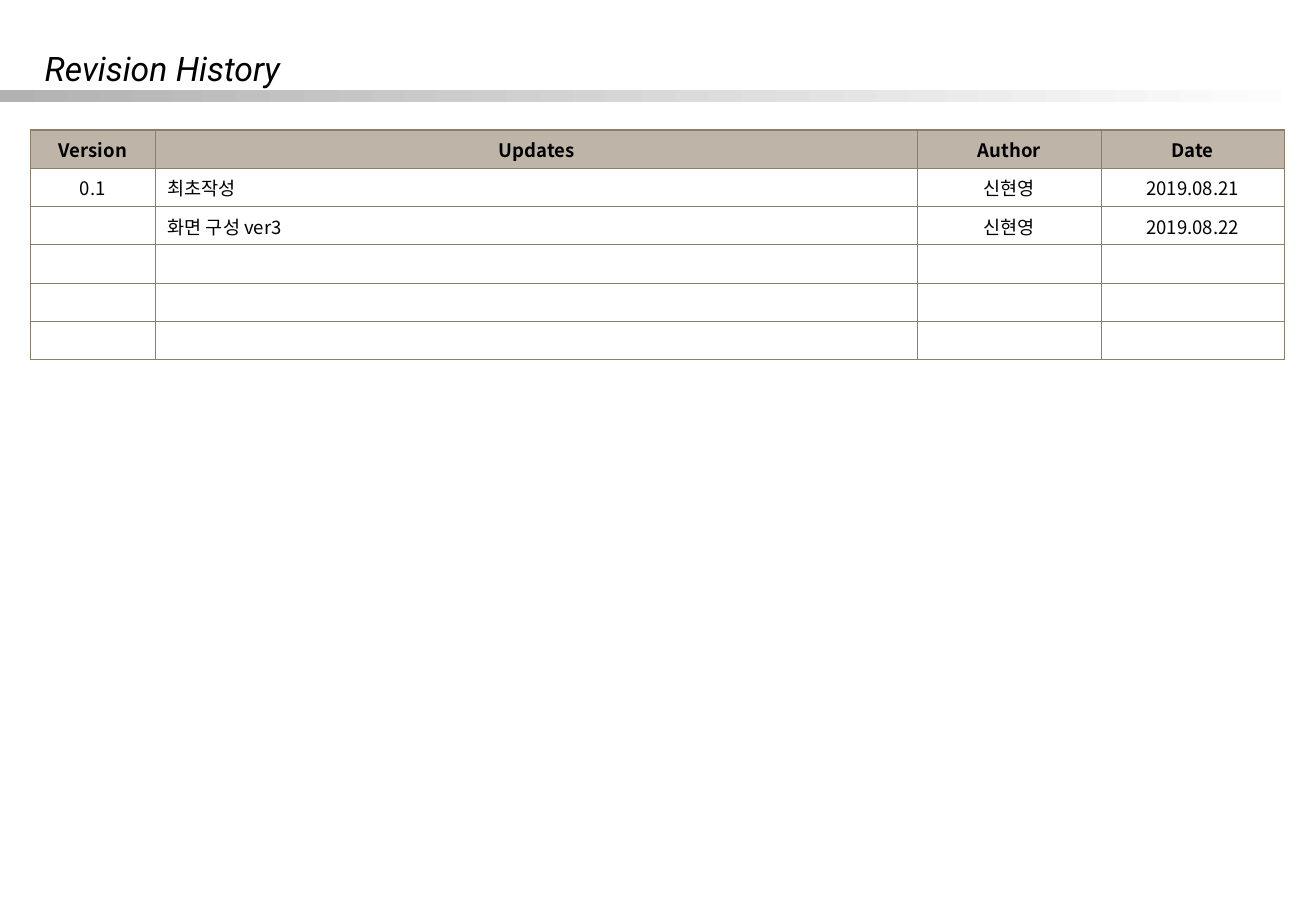
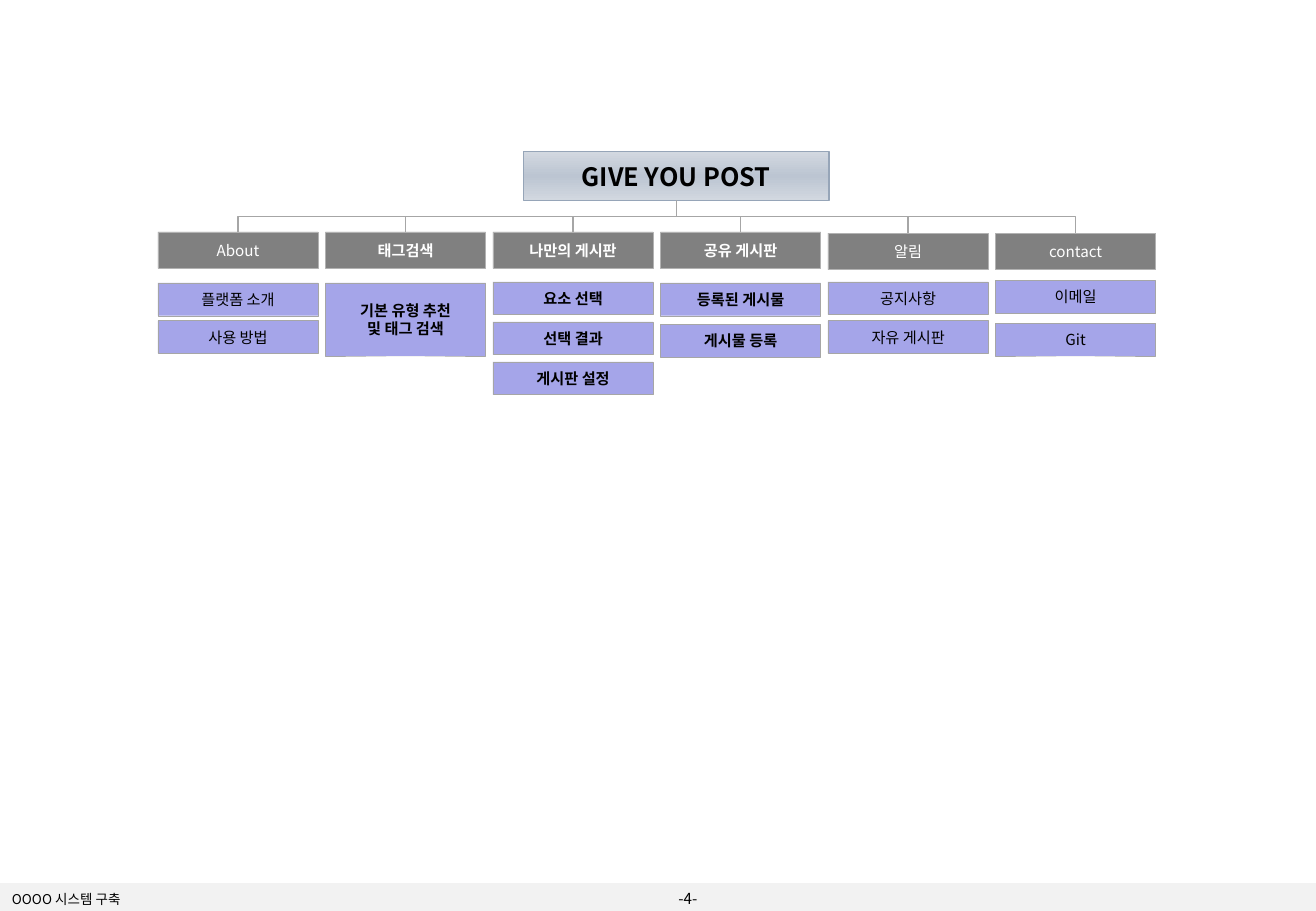
import pptx
import pptx.dml.color
import pptx.enum.shapes
import pptx.enum.text
import pptx.oxml.ns
import pptx.util
from lxml import etree

Inches = pptx.util.Inches
ALIGN = pptx.enum.text.PP_ALIGN
MIDDLE = pptx.enum.text.MSO_ANCHOR.MIDDLE
qn = pptx.oxml.ns.qn


def colour(hex_code):
    return pptx.dml.color.RGBColor.from_string(hex_code)


def add_colour(parent, hex_code):
    """Put a solid colour fill into a drawing element."""
    solid = etree.SubElement(parent, qn("a:solidFill"))
    etree.SubElement(solid, qn("a:srgbClr"), val=hex_code)


class Slides:
    BODY_FONT = "Noto Sans CJK KR"
    TITLE_FONT = "Roboto"
    BLACK, WHITE = "000000", "FFFFFF"
    BAND, FOOTER = "B2B2B2", "F2F2F2"
    TABLE_HEAD, TABLE_LINE = "BEB5A8", "8B7E6A"
    HEAD, HEAD_LINE = "808080", "B2B2B2"
    ITEM, ITEM_LINE = "A5A5E9", "A6A6A6"
    ROOT, ROOT_MIDDLE, ROOT_LINE = "D2D8E0", "BCC5D2", "96A5B8"
    WIDTH, HEIGHT = 10.84, 7.5

    def __init__(self):
        self.deck = pptx.Presentation()
        self.deck.slide_width = Inches(self.WIDTH)
        self.deck.slide_height = Inches(self.HEIGHT)
        self.page = None

    def new_page(self):
        self.page = self.deck.slides.add_slide(self.deck.slide_layouts[6])

    # Text
    def set_text(self, frame, text, size, align=ALIGN.LEFT, ink=BLACK,
                 font=BODY_FONT, before=0, **formats):
        for number, line in enumerate(text.split("\n")):
            para = frame.add_paragraph() if number else frame.paragraphs[0]
            para.alignment = align
            para.space_before = pptx.util.Pt(before)
            if not line:
                etree.SubElement(para._p, qn("a:endParaRPr"), sz=str(size * 100))
                continue
            span = para.add_run()
            span.text = line
            values = {"name": font, "size": pptx.util.Pt(size), **formats}
            for name, value in values.items():
                setattr(span.font, name, value)
            span.font.color.rgb = colour(ink)
            etree.SubElement(span.font._element, qn("a:ea"), typeface=font)

    def label(self, at, text, size, **formats):
        box = self.page.shapes.add_textbox(*map(Inches, at))
        frame = box.text_frame
        frame.word_wrap = True
        frame.vertical_anchor = MIDDLE
        self.set_text(frame, text, size, **formats)

    # Rectangles
    def rectangle(self, at, fill, line=None, weight=0.25, angle=0):
        """Draw a rectangle; a list of colours makes an even gradient."""
        box = self.page.shapes.add_shape(
            pptx.enum.shapes.MSO_SHAPE.RECTANGLE, *map(Inches, at))
        box.shadow.inherit = False
        if isinstance(fill, str):
            box.fill.solid()
            box.fill.fore_color.rgb = colour(fill)
        else:
            self.gradient(box, fill, angle)
        if line:
            box.line.color.rgb = colour(line)
            box.line.width = pptx.util.Pt(weight)
        else:
            box.line.fill.background()
        return box

    def gradient(self, box, colours, angle):
        box.fill.gradient()
        grad = box._element.spPr.find(qn("a:gradFill"))
        for child in list(grad):
            grad.remove(child)
        stops = etree.SubElement(grad, qn("a:gsLst"))
        for number, hex_code in enumerate(colours):
            place = 100000 * number // (len(colours) - 1)
            stop = etree.SubElement(stops, qn("a:gs"), pos=str(place))
            etree.SubElement(stop, qn("a:srgbClr"), val=hex_code)
        etree.SubElement(grad, qn("a:lin"), ang=str(angle * 60000), scaled="0")

    def node(self, at, text, size, fill, line, inset=0.04, weight=0.25,
             angle=0, **formats):
        box = self.rectangle(at, fill, line, weight, angle)
        frame = box.text_frame
        margins = dict.fromkeys(("margin_left", "margin_right", "margin_top",
                                 "margin_bottom"), Inches(inset))
        for name, value in {**margins, "word_wrap": True,
                            "vertical_anchor": MIDDLE}.items():
            setattr(frame, name, value)
        self.set_text(frame, text, size, ALIGN.CENTER, **formats)
        return box

    # Elbow from the bottom of one box to the top of another
    def elbow(self, upper, lower):
        link = self.page.shapes.add_connector(
            pptx.enum.shapes.MSO_CONNECTOR.ELBOW, 0, 0, 0, 0)
        link.begin_connect(upper, 2)
        link.end_connect(lower, 0)
        start_x, start_y = upper.left + upper.width // 2, upper.top + upper.height
        end_x, end_y = lower.left + lower.width // 2, lower.top
        # The frame lies on its side, so width and height change places
        width, height = end_y - start_y, abs(end_x - start_x)
        frame = {"left": (start_x + end_x - width) // 2,
                 "top": (start_y + end_y - height) // 2,
                 "width": width, "height": height}
        for name, value in frame.items():
            setattr(link, name, value)
        rightward = end_x > start_x
        turn = link._element.spPr.find(qn("a:xfrm"))
        turn.set("rot", str((270 if rightward else 90) * 60000))
        turn.set("flipH", "1" if rightward else "0")
        turn.set("flipV", "0")
        link.line.color.rgb = colour(self.ITEM_LINE)
        link.line.width = pptx.util.Pt(0.75)
        etree.SubElement(link._element.spPr, qn("a:effectLst"))

    # Table
    def table(self, at, widths, rows):
        last_row, last_column = len(rows) - 1, len(widths) - 1
        grid = self.page.shapes.add_table(
            len(rows), len(widths), *map(Inches, at)).table
        grid.first_row = grid.horz_banding = False
        for column, width in zip(grid.columns, widths):
            column.width = Inches(width)
        for r, row in enumerate(rows):
            for c, text in enumerate(row):
                cell = grid.cell(r, c)
                cell.vertical_anchor = MIDDLE
                align = ALIGN.LEFT if r and c == 1 else ALIGN.CENTER
                self.set_text(cell.text_frame, text, 11, align,
                              before=6.1, bold=r == 0)
                self.borders(cell, {"L": c == 0, "R": c == last_column,
                                    "T": r == 0, "B": r == last_row})
                if r:
                    cell.fill.background()
                else:
                    cell.fill.solid()
                    cell.fill.fore_color.rgb = colour(self.TABLE_HEAD)

    def borders(self, cell, outer_sides):
        properties = cell._tc.get_or_add_tcPr()
        for side, outer in outer_sides.items():
            weight = pptx.util.Pt(1.08 if outer else 0.45)
            edge = etree.SubElement(properties, qn("a:ln" + side), w=str(weight))
            add_colour(edge, self.TABLE_LINE)

    # Shared page parts
    def title(self, text):
        self.label((0.27, 0.36, 9.75, 0.4), text, 20,
                   font=self.TITLE_FONT, italic=True)
        self.rectangle((0, 0.74, self.WIDTH, 0.1), [self.BAND, self.WHITE])

    def footer(self, text, number):
        self.rectangle((0, 7.27, self.WIDTH, 0.23), self.FOOTER)
        self.label((5.49, 7.29, 0.47, 0.21), number, 9)
        self.label((0, 7.3, 4.88, 0.2), text, 8)


REVISIONS = [
    ("Version", "Updates", "Author", "Date"),
    ("0.1", "최초작성", "신현영", "2019.08.21"),
    ("", "화면 구성 ver3", "신현영", "2019.08.22"),
] + [("",) * 4] * 3

# Heading, its top, bold, item height, then items with their tops
MENUS = [
    ("About", 1.91, False, 0.27, [("플랫폼 소개", 2.33), ("사용 방법", 2.64)]),
    ("태그검색", 1.91, True, 0.6, [("기본 유형 추천\n및 태그 검색", 2.33)]),
    ("나만의 게시판", 1.91, True, 0.27,
     [("요소 선택", 2.32), ("선택 결과", 2.65), ("게시판 설정", 2.98)]),
    ("공유 게시판", 1.91, True, 0.27,
     [("등록된 게시물", 2.33), ("게시물 등록", 2.67)]),
    ("알림", 1.92, False, 0.27, [("공지사항", 2.32), ("자유 게시판", 2.64)]),
    ("contact", 1.92, False, 0.27, [("이메일", 2.31), ("Git", 2.66)]),
]


def revision_page(slides):
    slides.new_page()
    slides.title("Revision History")
    slides.table((0.25, 1.07, 10.33, 1.89), (1.03, 6.28, 1.51, 1.51), REVISIONS)


def menu_page(slides):
    slides.new_page()
    slides.footer("OOOO 시스템 구축", "-4-")
    root = slides.node((4.31, 1.25, 2.52, 0.4), "GIVE YOU POST", 15,
                       [slides.ROOT, slides.ROOT_MIDDLE, slides.ROOT],
                       slides.ROOT_LINE, weight=0.75, angle=90, bold=True)
    left, pitch, width = 1.3, 1.38, 1.32
    for column, (heading, top, bold, height, items) in enumerate(MENUS):
        x = left + column * pitch
        head = slides.node((x, top, width, 0.3), heading, 9, slides.HEAD,
                           slides.HEAD_LINE, inset=0, ink=slides.WHITE, bold=bold)
        slides.elbow(root, head)
        for text, item_top in items:
            slides.node((x, item_top, width, height), text, 9,
                        slides.ITEM, slides.ITEM_LINE, bold=bold)


def main():
    slides = Slides()
    revision_page(slides)
    menu_page(slides)
    slides.deck.save("out.pptx")


if __name__ == "__main__":
    main()
